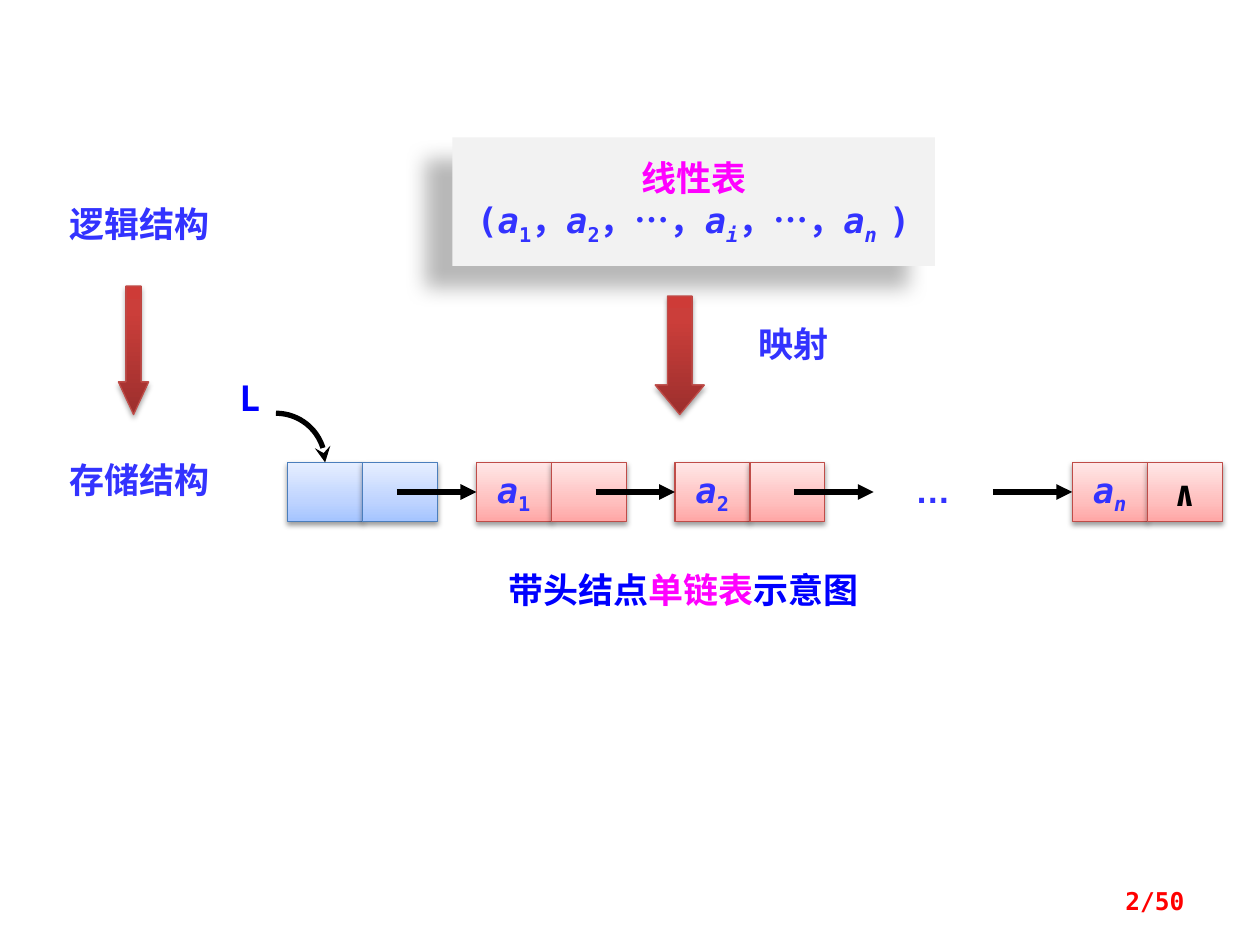
from collections import namedtuple
from math import cos, pi, sin

from lxml.etree import SubElement
from pptx import Presentation
from pptx.dml.color import RGBColor
from pptx.enum.shapes import MSO_CONNECTOR, MSO_SHAPE
from pptx.enum.text import MSO_ANCHOR, PP_ALIGN
from pptx.oxml import parse_xml
from pptx.oxml.ns import nsdecls, qn
from pptx.util import Inches, Pt

BLUE = RGBColor(0x33, 0x33, 0xFF)
DEEP_BLUE = RGBColor(0x00, 0x00, 0xFF)
MAGENTA = RGBColor(0xFF, 0x00, 0xFF)
RED = RGBColor(0xFF, 0x00, 0x00)
BLACK = RGBColor(0x00, 0x00, 0x00)
PANEL_GREY = RGBColor(0xF2, 0xF2, 0xF2)
HEAD_EDGE = RGBColor(0x4B, 0x7E, 0xBC)
RED_EDGE = RGBColor(0xBF, 0x4C, 0x48)

HEAD_STOPS = ((0, RGBColor(0xA4, 0xC4, 0xFF)), (35, RGBColor(0xBF, 0xD4, 0xFF)),
              (100, RGBColor(0xE6, 0xEE, 0xFF)))
DATA_STOPS = ((0, RGBColor(0xFF, 0xA6, 0xA5)), (35, RGBColor(0xFF, 0xC0, 0xBF)),
              (100, RGBColor(0xFF, 0xE7, 0xE7)))
ARROW_STOPS = ((0, RGBColor(0x9C, 0x2F, 0x2D)), (80, RGBColor(0xCB, 0x3E, 0x3A)),
               (100, RGBColor(0xCE, 0x3B, 0x37)))

MONO = "DejaVu Sans Mono"
CJK = "Noto Sans CJK SC"
SANS = "Arial"

NODE_TOP, NODE_HEIGHT, CELL_WIDTH = 3.67, 0.47, 1.19 / 2
HEAD_LEFT, FIRST_LEFT, LAST_LEFT = 2.28, 3.78, 8.51
NODE_STEP = (LAST_LEFT - FIRST_LEFT) / 3
LINK_LENGTH = 0.63

Run = namedtuple("Run", "text color italic sub font",
                 defaults=(BLUE, False, False, None))


def term(subscript, italic=False):
    return [Run("a", italic=True), Run(subscript, italic=italic, sub=True)]


def write(frame, lines, align=PP_ALIGN.CENTER, font=MONO, size=20):
    for index, runs in enumerate(lines):
        paragraph = frame.add_paragraph() if index else frame.paragraphs[0]
        paragraph.alignment = align
        paragraph.font.name = font
        paragraph.font.size = Pt(size)
        paragraph.font.bold = True
        for part in runs:
            run = paragraph.add_run()
            run.text = part.text
            run.font.color.rgb = part.color
            if part.italic:
                run.font.italic = True
            if part.font:
                run.font.name = part.font
            if part.sub:
                run.font._element.set("baseline", "-25000")


def add_label(slide, box, runs, align=PP_ALIGN.CENTER, font=MONO, size=20,
              anchor=MSO_ANCHOR.TOP):
    frame = slide.shapes.add_textbox(*map(Inches, box)).text_frame
    frame.word_wrap = True
    frame.vertical_anchor = anchor
    write(frame, [runs], align, font, size)


def set_shadow(shape, opacity, blur, distance, direction):
    shape.shadow.inherit = False
    effects = shape._element.spPr.find(qn("a:effectLst"))
    shadow = SubElement(effects, qn("a:outerShdw"), blurRad=str(Pt(blur)),
                        dist=str(Pt(distance)), dir=str(direction * 60000),
                        rotWithShape="0")
    color = SubElement(shadow, qn("a:srgbClr"), val=str(BLACK))
    SubElement(color, qn("a:alpha"), val=str(opacity * 1000))


def set_gradient(shape, stops):
    marks = "".join(f'<a:gs pos="{pos * 1000}"><a:srgbClr val="{color}"/></a:gs>'
                    for pos, color in stops)
    gradient = parse_xml(f'<a:gradFill {nsdecls("a")} rotWithShape="1">'
                         f'<a:gsLst>{marks}</a:gsLst>'
                         '<a:lin ang="16200000" scaled="0"/></a:gradFill>')
    shape._element.spPr.find(qn("a:prstGeom")).addnext(gradient)


def add_glossy(slide, kind, box, stops, edge):
    shape = slide.shapes.add_shape(kind, *map(Inches, box))
    set_gradient(shape, stops)
    shape.line.color.rgb = edge
    shape.line.width = Pt(0.75)
    return shape


def add_down_arrow(slide, box, head):
    arrow = add_glossy(slide, MSO_SHAPE.DOWN_ARROW, box, ARROW_STOPS, RED_EDGE)
    arrow.adjustments[0] = 0.5
    arrow.adjustments[1] = head
    set_shadow(arrow, 35, 3.1, 1.8, 90)


def add_node(slide, left, stops, edge, contents=((), ())):
    cells = []
    for index, runs in enumerate(contents):
        box = (left + index * CELL_WIDTH, NODE_TOP, CELL_WIDTH, NODE_HEIGHT)
        cell = add_glossy(slide, MSO_SHAPE.RECTANGLE, box, stops, edge)
        set_shadow(cell, 38, 3.1, 1.6, 90)
        if runs:
            cell.text_frame.word_wrap = False
            cell.text_frame.vertical_anchor = MSO_ANCHOR.MIDDLE
            write(cell.text_frame, [runs])
        cells.append(cell)
    return cells[0]


def style_pointer(pointer, head):
    pointer.line.color.rgb = BLACK
    pointer.line.width = Pt(3)
    SubElement(pointer.line._get_or_add_ln(), qn("a:tailEnd"), type=head)


def add_link(slide, end, target=None):
    y = Inches(NODE_TOP + NODE_HEIGHT / 2)
    link = slide.shapes.add_connector(MSO_CONNECTOR.STRAIGHT,
                                      Inches(end - LINK_LENGTH), y, Inches(end), y)
    if target is not None:
        link.end_connect(target, 1)
    style_pointer(link, "triangle")
    SubElement(link._element.spPr, qn("a:effectLst"))


def add_head_pointer(slide, left, top, radius, steps=24):
    angles = [pi / 2 * step / steps for step in range(steps + 1)]
    points = [(Inches(left + radius * sin(a)), Inches(top + radius * (1 - cos(a))))
              for a in angles]
    outline = slide.shapes.build_freeform(*points[0])
    outline.add_line_segments(points[1:], close=False)
    curve = outline.convert_to_shape()
    curve.fill.background()
    style_pointer(curve, "stealth")
    curve.shadow.inherit = False


def add_list_panel(slide):
    panel = slide.shapes.add_shape(MSO_SHAPE.RECTANGLE,
                                   *map(Inches, (3.59, 1.09, 3.83, 1.02)))
    panel.fill.solid()
    panel.fill.fore_color.rgb = PANEL_GREY
    panel.line.fill.background()
    set_shadow(panel, 28, 11.8, 19.7, 141)
    panel.text_frame.word_wrap = False
    panel.text_frame.vertical_anchor = MSO_ANCHOR.MIDDLE
    comma, dots = Run("，"), Run("…", font=SANS)
    sequence = [Run("("), *term("1"), comma, *term("2"), comma, dots, comma,
                *term("i", True), comma, dots, comma, *term("n ", True), Run(")")]
    write(panel.text_frame, [[Run("线性表", MAGENTA)], sequence])


def main():
    deck = Presentation()
    deck.slide_width, deck.slide_height = Inches(10), Inches(7.5)
    slide = deck.slides.add_slide(deck.slide_layouts[6])

    add_list_panel(slide)
    add_down_arrow(slide, (5.2, 2.35, 0.39, 0.94), 0.6)
    add_label(slide, (5.75, 2.51, 1.09, 0.43), [Run("映射")])
    add_label(slide, (0.16, 1.56, 1.89, 0.44), [Run("逻辑结构")])
    add_label(slide, (0.16, 3.59, 1.89, 0.44), [Run("存储结构")])
    add_down_arrow(slide, (0.94, 2.27, 0.24, 1.02), 1.08)

    add_node(slide, HEAD_LEFT, HEAD_STOPS, HEAD_EDGE)
    contents = {0: (term("1"), ()), 1: (term("2"), ()),
                3: (term("n", True), [Run("∧", BLACK)])}
    nodes = {place: add_node(slide, FIRST_LEFT + place * NODE_STEP,
                             DATA_STOPS, RED_EDGE, pair)
             for place, pair in contents.items()}
    add_label(slide, (7.09, 3.67, 0.63, 0.44), [Run("…")], font=SANS)
    add_head_pointer(slide, 2.19, 3.28, 0.39)
    add_label(slide, (1.8, 2.94, 0.47, 0.44), [Run("L", DEEP_BLUE)], PP_ALIGN.LEFT)
    for place in range(4):
        add_link(slide, FIRST_LEFT + place * NODE_STEP, nodes.get(place))

    add_label(slide, (3.59, 4.46, 3.67, 0.44),
              [Run("带头结点", DEEP_BLUE), Run("单链表", MAGENTA),
               Run("示意图", DEEP_BLUE)], font=CJK)
    add_label(slide, (7.17, 6.95, 2.33, 0.4), [Run("2/50", RED)],
              PP_ALIGN.RIGHT, size=14, anchor=MSO_ANCHOR.MIDDLE)
    deck.save("out.pptx")


if __name__ == "__main__":
    main()
